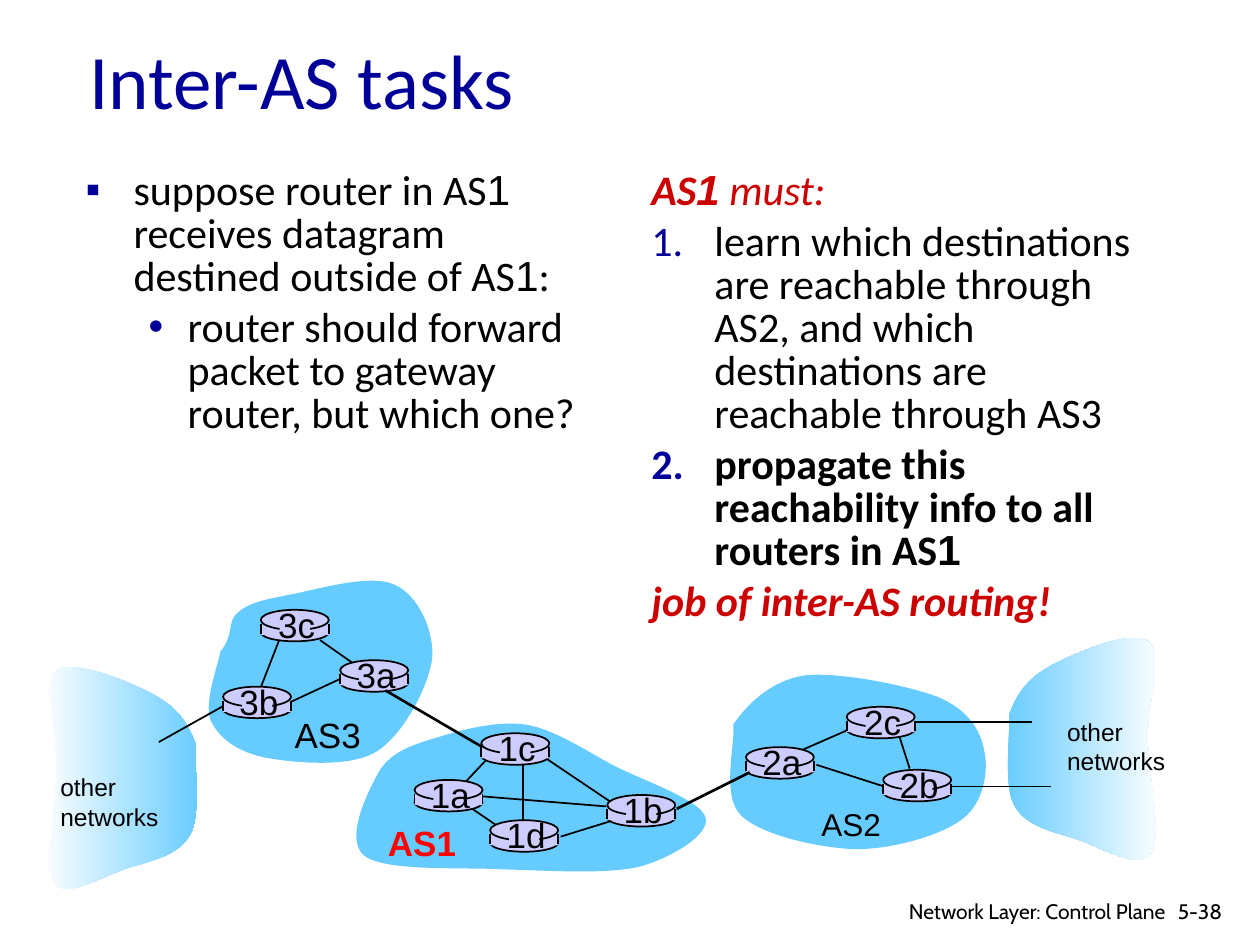
from typing import NamedTuple

from lxml.etree import SubElement as Sub
from pptx import Presentation
from pptx.dml.color import RGBColor as RGB
from pptx.enum.shapes import MSO_CONNECTOR as Conn, MSO_SHAPE as Kind
from pptx.enum.text import MSO_ANCHOR as Anchor, MSO_AUTO_SIZE as Fit, PP_ALIGN as Align
from pptx.oxml.ns import qn
from pptx.util import Emu, Pt

UNIT = 9144  # EMU in one px, 100 px to the inch
BLACK, WHITE, NAVY, RED = "000000", "FFFFFF", "000099", "CC0000"
SKY, LILAC = "66CCFF", "CCCCFF"


class Router(NamedTuple):
    name: str
    x: int
    y: int


class Link(NamedTuple):
    x1: int
    y1: int
    x2: int
    y2: int
    weight: float = 1


class Label(NamedTuple):
    text: str
    box: tuple
    size: int = 20
    font: str = "Arial"
    color: str = BLACK
    bold: bool = False
    align: Align = Align.LEFT
    wrap: bool = False


# Each outline is a start point followed by Bezier triples.
OUTER = [(801, 567), (807, 551), (815, 539), (833, 529), (851, 519), (898, 499),
         (911, 509), (924, 518), (910, 559), (911, 587), (911, 616), (923, 665),
         (913, 678), (904, 691), (873, 672), (855, 666), (836, 660), (814, 656),
         (805, 639), (796, 623), (802, 582), (801, 567)]
AREAS = [
    [(582, 575), (593, 559), (612, 540), (639, 536), (666, 533), (720, 544),
     (744, 553), (768, 563), (778, 579), (781, 595), (785, 611), (781, 637),
     (764, 650), (747, 663), (709, 674), (679, 674), (650, 673), (604, 663),
     (588, 647), (572, 631), (584, 590), (582, 575)],
    [(175, 517), (186, 504), (180, 493), (189, 486), (198, 478), (210, 476),
     (230, 472), (251, 468), (294, 455), (313, 464), (332, 472), (345, 501),
     (343, 523), (340, 545), (320, 584), (298, 597), (276, 610), (230, 605),
     (209, 601), (187, 596), (173, 585), (167, 571), (162, 557), (173, 528),
     (175, 517)],
    [(301, 612), (311, 596), (328, 591), (348, 585), (367, 579), (394, 572),
     (417, 575), (440, 579), (462, 594), (486, 607), (509, 619), (557, 635),
     (560, 649), (564, 662), (533, 681), (507, 688), (480, 694), (436, 691),
     (400, 690), (364, 688), (306, 692), (289, 679), (273, 666), (292, 628),
     (301, 612)],
]
LINKS = [
    Link(231, 557, 274, 537), Link(281, 527, 254, 508), Link(222, 507, 206, 548),
    Link(387, 602, 370, 620), Link(415, 606, 415, 656), Link(432, 601, 487, 638),
    Link(487, 651, 445, 664), Link(481, 640, 382, 632), Link(372, 640, 394, 655),
    Link(628, 599, 676, 578), Link(648, 607, 701, 624), Link(714, 585, 722, 610),
    Link(726, 573, 819, 573, 0.75), Link(753, 624, 834, 624, 0.75),
]
BORDERS = [Link(537, 642, 595, 613, 1.5), Link(306, 548, 383, 593, 1.5)]
ROUTERS = [
    Router("3b", 177, 545), Router("3c", 207, 484), Router("3a", 270, 524),
    Router("1c", 382, 582), Router("1a", 329, 619), Router("1d", 389, 651),
    Router("1b", 482, 631), Router("2a", 592, 593), Router("2c", 672, 561),
    Router("2b", 701, 611),
]
LABELS = [
    Label("AS3", (224, 561, 73, 43)),
    Label("AS2", (642, 634, 67, 40), 18),
    Label("AS1", (298, 647, 75, 44), color="FF0000", bold=True),
    Label("other\nnetworks", (837, 564, 98, 57), 14),
    Label("other\nnetworks", (38, 608, 98, 57), 14),
    Label("5-38", (925, 708, 60, 30), 12, "Cabin", wrap=True),
    Label("Network Layer: Control Plane", (697, 708, 238, 26), 12, "Cabin",
          align=Align.RIGHT, wrap=True),
]


def px(n: int) -> Emu:
    return Emu(n * UNIT)


def rgb(code: str) -> RGB:
    return RGB.from_string(code)


def write(para, text: str, size=24, font="Calibri", color=BLACK, bold=False, italic=False):
    run = para.add_run()
    run.text = text
    face = run.font
    face.size, face.name, face.bold, face.italic = Pt(size), font, bold, italic
    face.color.rgb = rgb(color)


def place(shape, box: tuple) -> None:
    shape.left, shape.top, shape.width, shape.height = map(px, box)


def bend(shape) -> None:
    """Turn every three line segments of a freeform into one Bezier curve."""
    legs = list(shape._element.iter(qn("a:lnTo")))
    for i in range(0, len(legs), 3):
        arc = legs[i].makeelement(qn("a:cubicBezTo"))
        legs[i].addprevious(arc)
        for leg in legs[i:i + 3]:
            arc.append(leg[0])
            leg.getparent().remove(leg)


def cloud(shapes, pts: list, fade: tuple = ()) -> None:
    """Draw a closed outline, sky blue or fading from left to right."""
    start, *rest = pts
    pen = shapes.build_freeform(*start, scale=UNIT)
    pen.add_line_segments(rest, close=False)
    pen.add_line_segments([], close=True)
    blob = pen.convert_to_shape()
    bend(blob)
    blob.shadow.inherit = False
    blob.line.fill.background()
    if fade:
        blob.fill.gradient()
        blob.fill.gradient_angle = 0
        for stop, color, spot in zip(blob.fill.gradient_stops, fade, (0, 1)):
            stop.color.rgb, stop.position = rgb(color), spot
    else:
        blob.fill.solid()
        blob.fill.fore_color.rgb = rgb(SKY)


def wire(shapes, link: Link):
    line = shapes.add_connector(Conn.STRAIGHT, *map(px, link[:4]))
    line.line.color.rgb = rgb(BLACK)
    line.line.width = Pt(link.weight)
    Sub(line._element.spPr, qn("a:effectLst"))
    return line


def block(shapes, kind: Kind, box: tuple, edge: bool = False):
    shape = shapes.add_shape(kind, *map(px, box))
    shape.shadow.inherit = False
    shape.fill.solid()
    shape.fill.fore_color.rgb = rgb(LILAC)
    if edge:
        shape.line.color.rgb = rgb(BLACK)
        shape.line.width = Pt(1)
    else:
        shape.line.fill.background()
    return shape


def tag(shapes, label: Label) -> None:
    frame = shapes.add_textbox(*map(px, label.box)).text_frame
    frame.word_wrap = label.wrap
    frame.auto_size = Fit.NONE if label.wrap else Fit.SHAPE_TO_FIT_TEXT
    for i, text in enumerate(label.text.split("\n")):
        para = frame.add_paragraph() if i else frame.paragraphs[0]
        para.alignment = label.align
        write(para, text, label.size, label.font, label.color, label.bold)


def router(shapes, node: Router):
    """Draw a router drum and return its body."""
    name, x, y = node
    block(shapes, Kind.OVAL, (x, y + 11, 54, 14), True)
    body = block(shapes, Kind.RECTANGLE, (x, y + 11, 54, 9))
    for side in (x, x + 54):
        wire(shapes, Link(side, y + 11, side, y + 19))
    block(shapes, Kind.OVAL, (x, y, 54, 16), True)
    block(shapes, Kind.RECTANGLE, (x + 15, y + 2, 24, 20))
    tag(shapes, Label(name, (x + 3, y - 10, 51, 43), align=Align.CENTER))
    return body


def item(frame, runs: list, left: int, hang: int, mark="", level=0) -> None:
    """Add a list entry; runs are (text, format) pairs, mark "1." numbers it."""
    first = frame.paragraphs[0]
    para = frame.add_paragraph() if first.runs else first
    para.level, para.line_spacing = level, 0.85
    props = para._p.get_or_add_pPr()
    props.set("marL", str(px(left)))
    props.set("indent", str(-px(hang)))
    if mark:
        Sub(Sub(props, qn("a:buClr")), qn("a:srgbClr"), val=NAVY)
        Sub(props, qn("a:buFont"), typeface="Calibri" if mark == "1." else "Arial")
    if mark == "1.":
        Sub(props, qn("a:buAutoNum"), type="arabicPeriod")
    elif mark:
        Sub(props, qn("a:buChar"), char=mark)
    else:
        Sub(props, qn("a:buNone"))
    for text, form in runs:
        write(para, text, **form)


def main() -> None:
    deck = Presentation()
    deck.slide_width, deck.slide_height = px(1000), px(750)
    shapes = deck.slides.add_slide(deck.slide_layouts[3]).shapes
    title, left, right = shapes.placeholders
    place(title, (61, 0, 850, 125))
    place(left, (58, 131, 417, 319))
    place(right, (507, 131, 417, 508))
    for holder in (title, left, right):
        holder.text_frame.auto_size = Fit.NONE
    title.text_frame.vertical_anchor = Anchor.MIDDLE
    head = title.text_frame.paragraphs[0]
    head.alignment = Align.LEFT
    write(head, "Inter-AS tasks", 44, color=NAVY)

    one, bold = {"font": "Arial"}, {"bold": True}
    loud = {"color": RED, "bold": True, "italic": True}
    item(left.text_frame, [("suppose router in AS", {}), ("1", one),
         (" receives datagram destined outside of AS", {}), ("1", one), (":", {})], 38, 38, "▪")
    item(left.text_frame, [("router should forward packet to gateway router, but which one?", {})],
         81, 31, "•", 1)
    for runs, mark in (
        ([("AS", loud), ("1", loud | one), (" must:", loud | {"bold": False})], ""),
        ([("learn which destinations are reachable through AS2, and which "
           "destinations are reachable through AS3", {})], "1."),
        ([("propagate this reachability info to all routers in AS", bold),
          ("1", bold | one)], "1."),
        ([("job of inter-AS routing!", loud)], ""),
    ):
        item(right.text_frame, runs, 50, 50, mark)

    cloud(shapes, OUTER, (SKY, WHITE))
    cloud(shapes, [(956 - x, y + 23) for x, y in OUTER], (WHITE, SKY))
    for area in AREAS:
        cloud(shapes, area)
    for link in LINKS:
        wire(shapes, link)
    bodies = {node.name: router(shapes, node) for node in ROUTERS}
    wire(shapes, Link(177, 560, 126, 589)).begin_connect(bodies["3b"], 1)
    for link in BORDERS:
        wire(shapes, link)
    for label in LABELS:
        tag(shapes, label)
    deck.save("out.pptx")


if __name__ == "__main__":
    main()
